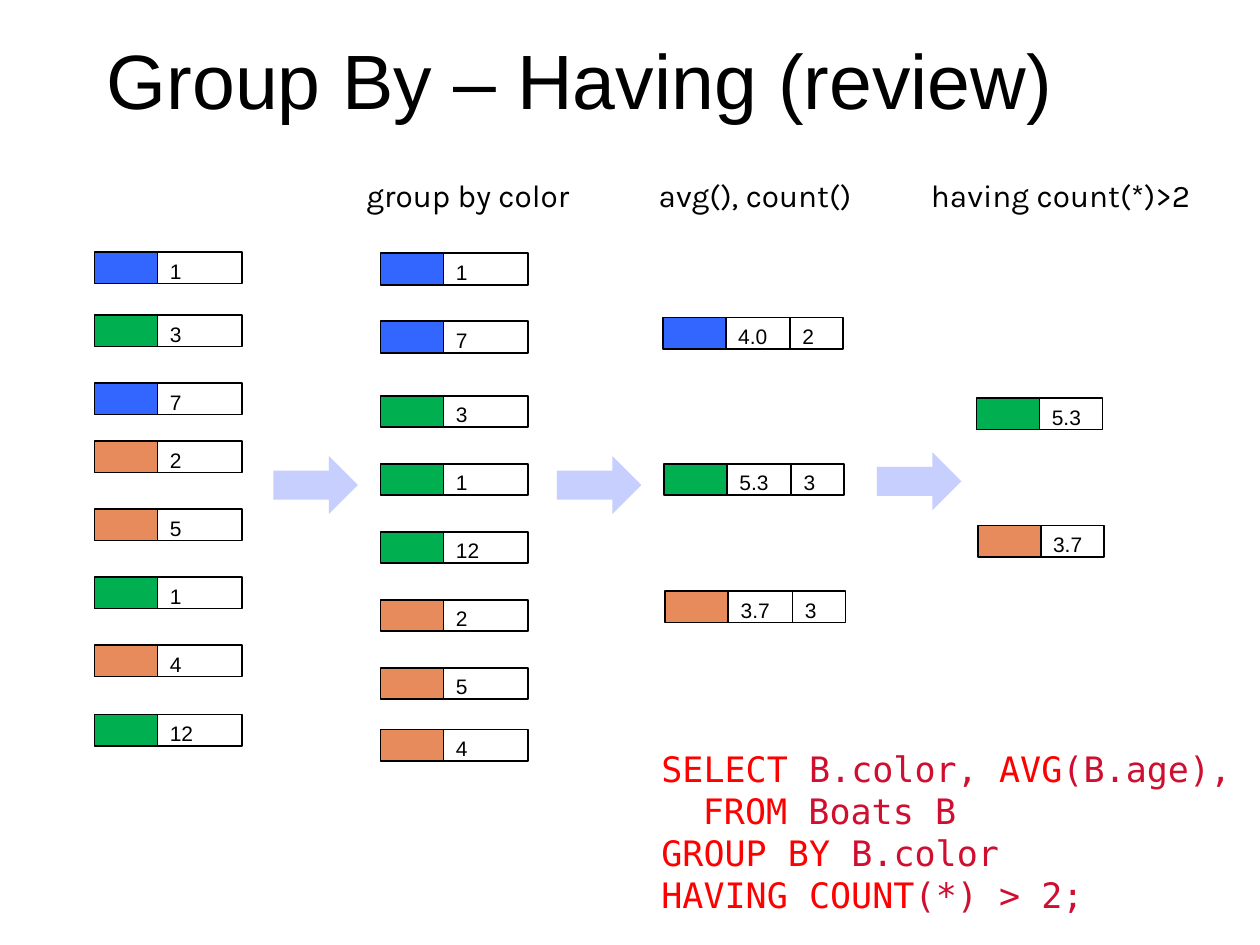
from pptx import Presentation
from pptx.dml.color import RGBColor
from pptx.enum.shapes import MSO_SHAPE as Shape
from pptx.enum.text import MSO_ANCHOR as Anchor, PP_ALIGN as Align
from pptx.util import Inches, Pt

BLUE, GREEN, ORANGE = "3366FF", "00B050", "E78A5C"
BLACK, WHITE, ARROW = "000000", "FFFFFF", "C7CFFF"
KEYWORD, CODE = "FF0000", "CF0E30"

TITLE = "Group By – Having (review)"
HEADERS = [  # left, width, text
    (2.81, 1.81, "group by color"),
    (5.13, 1.76, "avg(), count()"),
    (7.29, 2.29, "having count(*)>2"),
]
HEADER_TOP, HEADER_HEIGHT = 1.35, 0.4

SWATCH_WIDTH, ROW_HEIGHT = 0.5, 0.25
# Each stage: widths of the value cells, then rows of left, top, colour, values
STAGES = [
    ([0.67], [
        (0.75, 2.0, BLUE, ["1"]),
        (0.75, 2.5, GREEN, ["3"]),
        (0.75, 3.04, BLUE, ["7"]),
        (0.75, 3.5, ORANGE, ["2"]),
        (0.75, 4.04, ORANGE, ["5"]),
        (0.75, 4.58, GREEN, ["1"]),
        (0.75, 5.12, ORANGE, ["4"]),
        (0.75, 5.67, GREEN, ["12"]),
    ]),
    ([0.67], [
        (3.02, 2.01, BLUE, ["1"]),
        (3.02, 2.55, BLUE, ["7"]),
        (3.02, 3.14, GREEN, ["3"]),
        (3.02, 3.68, GREEN, ["1"]),
        (3.02, 4.22, GREEN, ["12"]),
        (3.02, 4.76, ORANGE, ["2"]),
        (3.02, 5.3, ORANGE, ["5"]),
        (3.02, 5.79, ORANGE, ["4"]),
    ]),
    ([0.51, 0.42], [
        (5.26, 2.52, BLUE, ["4.0", "2"]),
        (5.27, 3.68, GREEN, ["5.3", "3"]),
        (5.28, 4.69, ORANGE, ["3.7", "3"]),
    ]),
    ([0.5], [
        (7.75, 3.16, GREEN, ["5.3"]),
        (7.76, 4.17, ORANGE, ["3.7"]),
    ]),
]
ARROWS = [(2.17, 3.62), (4.42, 3.62), (6.96, 3.59)]
ARROW_SIZE = (0.67, 0.46)

QUERY = [  # indent, coloured spans
    (0, [("SELECT ", KEYWORD), ("B.color, ", CODE), ("AVG", KEYWORD), ("(B.age),", CODE)]),
    (0.33, [("FROM ", KEYWORD), ("Boats B", CODE)]),
    (0, [("GROUP BY ", KEYWORD), ("B.color", CODE)]),
    (0, [("HAVING COUNT", KEYWORD), ("(*) > 2;", CODE)]),
]

TITLE_FONT = {"name": "Arial", "size": Pt(44)}
HEADER_FONT = {"name": "Karla", "size": Pt(18)}
CELL_FONT = {"name": "Arial", "size": Pt(12)}
QUERY_FONT = {"name": "DejaVu Sans Mono", "size": Pt(20)}


def rgb(color):
    return RGBColor.from_string(color)


def add_span(para, text, font, color=BLACK):
    span = para.add_run()
    span.text = text
    for key, value in font.items():
        setattr(span.font, key, value)
    span.font.color.rgb = rgb(color)


def add_textbox(page, left, top, width, height, wrap=True, anchor=Anchor.TOP):
    frame = page.shapes.add_textbox(*map(Inches, (left, top, width, height))).text_frame
    frame.word_wrap = wrap
    frame.vertical_anchor = anchor
    return frame


def add_block(page, kind, left, top, width, height, fill, outlined=True):
    block = page.shapes.add_shape(kind, *map(Inches, (left, top, width, height)))
    block.shadow.inherit = False
    block.fill.solid()
    block.fill.fore_color.rgb = rgb(fill)
    if outlined:
        block.line.color.rgb = rgb(BLACK)
        block.line.width = Pt(1)
    else:
        block.line.fill.background()
    return block


def add_record(page, left, top, color, values, widths):
    """Draw a colour swatch followed by its value cells."""
    add_block(page, Shape.RECTANGLE, left, top, SWATCH_WIDTH, ROW_HEIGHT, color)
    left += SWATCH_WIDTH
    for value, width in zip(values, widths):
        cell = add_block(page, Shape.RECTANGLE, left, top, width, ROW_HEIGHT, WHITE)
        cell.text_frame.vertical_anchor = Anchor.TOP
        para = cell.text_frame.paragraphs[0]
        para.alignment = Align.LEFT
        add_span(para, value, CELL_FONT)
        left += width


def add_query(page):
    frame = add_textbox(page, 5.15, 5.88, 4.85, 1.45)
    for number, (indent, spans) in enumerate(QUERY):
        para = frame.add_paragraph() if number else frame.paragraphs[0]
        if indent:
            para._p.get_or_add_pPr().set("marL", str(Inches(indent)))
        for text, color in spans:
            add_span(para, text, QUERY_FONT, color)


def main():
    deck = Presentation()
    deck.slide_width, deck.slide_height = Inches(10), Inches(7.5)
    page = deck.slides.add_slide(deck.slide_layouts[6])

    title = add_textbox(page, 0.75, 0, 8.5, 1.25, anchor=Anchor.MIDDLE)
    add_span(title.paragraphs[0], TITLE, TITLE_FONT)
    for left, width, text in HEADERS:
        header = add_textbox(page, left, HEADER_TOP, width, HEADER_HEIGHT, wrap=False)
        add_span(header.paragraphs[0], text, HEADER_FONT)

    for widths, records in STAGES:
        for record in records:
            add_record(page, *record, widths)
    for left, top in ARROWS:
        add_block(page, Shape.RIGHT_ARROW, left, top, *ARROW_SIZE, ARROW, outlined=False)
    add_query(page)
    deck.save("out.pptx")


if __name__ == "__main__":
    main()
